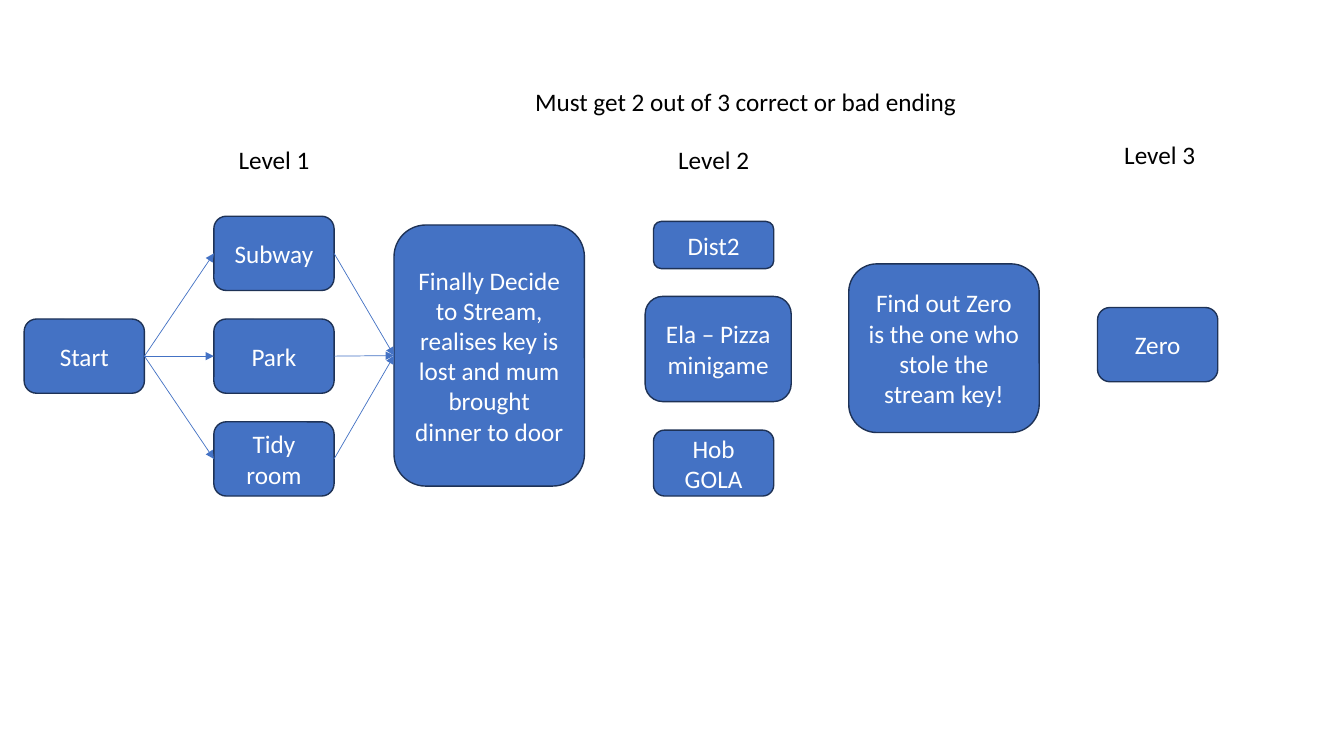
import dataclasses

import lxml.etree
import pptx
import pptx.dml.color
import pptx.enum.shapes
import pptx.enum.text
import pptx.oxml.ns
import pptx.shapes.autoshape
import pptx.shapes.base
import pptx.slide
import pptx.util

Cm = pptx.util.Cm
Pt = pptx.util.Pt
RGB = pptx.dml.color.RGBColor
Align = pptx.enum.text.PP_ALIGN
Anchor = pptx.enum.text.MSO_ANCHOR

BLUE = RGB(0x44, 0x72, 0xC4)
NAVY = RGB(0x1E, 0x32, 0x56)
WHITE = RGB(0xFF, 0xFF, 0xFF)
BLACK = RGB(0x00, 0x00, 0x00)

WIDE = 3.03
TALL = 1.87
LEFT, RIGHT = 1, 3


@dataclasses.dataclass(frozen=True)
class Box:
    text: str
    x: float
    y: float
    w: float = WIDE
    h: float = TALL


START = Box("Start", 0.61, 8.04)
TASKS = [
    Box(text, 5.39, 5.45 + 2.59 * row)
    for row, text in enumerate(["Subway", "Park", "Tidy room"])
]
STREAM = Box(
    "Finally Decide to Stream, realises key is lost and mum brought dinner to door",
    9.93, 5.67, 4.8, 6.58,
)
OTHERS = [
    Box("Dist2", 16.47, 5.58, h=1.19),
    Box("Ela – Pizza minigame", 16.26, 7.47, 3.68, 2.65),
    Box("Hob GOLA", 16.47, 10.84, h=1.66),
    Box("Find out Zero is the one who stole the stream key!", 21.39, 6.65, 4.8, 4.25),
    Box("Zero", 27.66, 7.75),
]
LEVELS = [
    Box("Level 1", 5.39, 3.5, h=1.02),
    Box("Level 2", 16.47, 3.5, h=1.02),
    Box("Level 3", 27.71, 3.39, h=1.02),
]
RULE = Box("Must get 2 out of 3 correct or bad ending", 13.23, 2.06, 11.25, 1.02)


def write(
    shape: pptx.shapes.autoshape.Shape,
    text: str,
    *,
    color: RGB = BLACK,
    align: Align = Align.CENTER,
    anchor: Anchor = Anchor.TOP,
    wrap: bool = True,
) -> None:
    frame = shape.text_frame
    frame.word_wrap = wrap
    frame.auto_size = pptx.enum.text.MSO_AUTO_SIZE.NONE
    frame.vertical_anchor = anchor
    line = frame.paragraphs[0]
    line.alignment = align
    line.line_spacing = 1.0
    run = line.add_run()
    run.text = text
    run.font.name = "Calibri"
    run.font.size = Pt(18)
    run.font.color.rgb = color


def bounds(box: Box) -> tuple[int, int, int, int]:
    return Cm(box.x), Cm(box.y), Cm(box.w), Cm(box.h)


def draw(slide: pptx.slide.Slide, box: Box) -> pptx.shapes.autoshape.Shape:
    kind = pptx.enum.shapes.MSO_SHAPE.ROUNDED_RECTANGLE
    shape = slide.shapes.add_shape(kind, *bounds(box))
    shape.shadow.inherit = False
    shape.fill.solid()
    shape.fill.fore_color.rgb = BLUE
    shape.line.color.rgb = NAVY
    shape.line.width = Pt(1)
    write(shape, box.text, color=WHITE, anchor=Anchor.MIDDLE)
    return shape


def join(
    slide: pptx.slide.Slide,
    start: pptx.shapes.base.BaseShape,
    end: pptx.shapes.base.BaseShape,
) -> None:
    kind = pptx.enum.shapes.MSO_CONNECTOR.STRAIGHT
    link = slide.shapes.add_connector(kind, 0, 0, 0, 0)
    link.begin_connect(start, RIGHT)
    link.end_connect(end, LEFT)
    link.line.color.rgb = BLUE
    link.line.width = Pt(0.5)
    qn = pptx.oxml.ns.qn
    tail = lxml.etree.SubElement(link.line._get_or_add_ln(), qn("a:tailEnd"))
    tail.set("type", "triangle")
    lxml.etree.SubElement(link._element.spPr, qn("a:effectLst"))


def main() -> None:
    deck = pptx.Presentation()
    deck.slide_width = Cm(33.87)
    deck.slide_height = Cm(19.05)
    slide = deck.slides.add_slide(deck.slide_layouts[5])

    title = slide.shapes.title
    title.left, title.top, title.width, title.height = bounds(RULE)
    write(title, RULE.text, align=Align.LEFT, wrap=False)

    start = draw(slide, START)
    tasks = [draw(slide, box) for box in TASKS]
    stream = draw(slide, STREAM)
    for task in tasks:
        join(slide, start, task)
        join(slide, task, stream)
    for box in OTHERS:
        draw(slide, box)
    for box in LEVELS:
        write(slide.shapes.add_textbox(*bounds(box)), box.text)

    deck.save("out.pptx")


if __name__ == "__main__":
    main()
